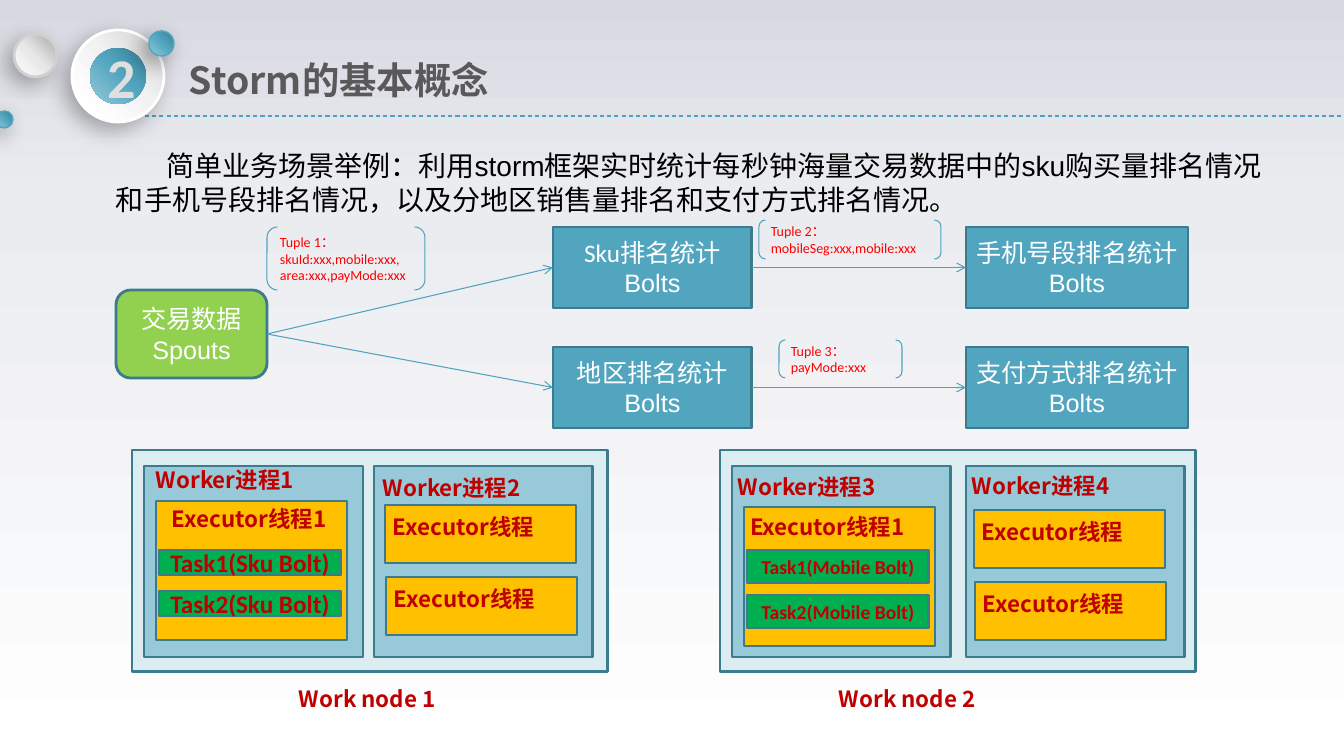
from pptx import Presentation
from pptx.dml.color import RGBColor
from pptx.enum.dml import MSO_LINE
from pptx.enum.shapes import MSO_CONNECTOR, MSO_SHAPE
from pptx.enum.text import MSO_ANCHOR, PP_ALIGN
from pptx.oxml import parse_xml
from pptx.oxml.ns import nsdecls, qn
from pptx.util import Emu, Pt

RECTANGLE = MSO_SHAPE.RECTANGLE
ROUNDED = MSO_SHAPE.ROUNDED_RECTANGLE
BRACKETS = MSO_SHAPE.DOUBLE_BRACKET
OVAL = MSO_SHAPE.OVAL
STRAIGHT = MSO_CONNECTOR.STRAIGHT
DASH = MSO_LINE.DASH
LEFT, CENTER = PP_ALIGN.LEFT, PP_ALIGN.CENTER
MIDDLE = MSO_ANCHOR.MIDDLE
LEFT_SITE, RIGHT_SITE = 1, 3

EMU_PER_PX = 914400 / 100.8
COLORS = {
    "title": "595959", "black": "000000", "white": "FFFFFF", "red": "FF0000",
    "label": "C00000", "edge": "3C7A8D", "link": "4DA3BD", "bolt": "51A5BF",
    "spout": "92D050", "node": "DCEDF2", "worker": "97C9D9",
    "executor": "FFC000", "task": "00B050", "silver": "D0D0D0",
}
BACKDROP = [(0, "D7D9E1"), (26, "EBECF0"), (100, "FFFFFF")]
RING = [(15, "FFFFFF"), (55, "F2F2F2"), (88, "D9D9D9")]
PEARL = [(0, "FFFFFF"), (50, "E7E7E7"), (100, "A6A6A6")]
TEAL = [(0, "97C9D9"), (55, "51A5BF"), (100, "377F95")]
DIGIT = [(15, "FFFFFF"), (63, "DFDFDF"), (100, "BFBFBF")]

CJK, CALIBRI, ARIAL = "Noto Sans CJK SC", "Calibri", "Arial"
FORMATS = {
    "title": ({"size": Pt(26.7), "bold": True}, "title"),
    "digit": ({"size": Pt(40), "bold": True}, "white"),
    "intro": ({"size": Pt(20)}, "black"),
    "tuple": ({"size": Pt(10)}, "red"),
    "step": ({"size": Pt(18)}, "white"),
    "label": ({"size": Pt(16), "bold": True}, "label"),
    "large task": ({"size": Pt(18), "bold": True}, "label"),
    "small task": ({"size": Pt(14), "bold": True}, "label"),
}


def px(length):
    return Emu(round(length * EMU_PER_PX))


def color(name):
    return RGBColor.from_string(COLORS[name])


def set_gradient(fill, owner, stops, angle=None):
    fill.gradient()
    gradient = next(owner.iter(qn("a:gradFill")))
    for child in list(gradient):
        gradient.remove(child)
    entries = "".join(
        f'<a:gs pos="{position * 1000}"><a:srgbClr val="{value}"/></a:gs>'
        for position, value in stops)
    gradient.append(parse_xml(f'<a:gsLst {nsdecls("a")}>{entries}</a:gsLst>'))
    if angle is None:
        direction = (f'<a:path {nsdecls("a")} path="circle">'
                     '<a:fillToRect t="100000" r="100000"/></a:path>')
    else:
        direction = f'<a:lin {nsdecls("a")} ang="{angle * 60000}" scaled="0"/>'
    gradient.append(parse_xml(direction))


def write_text(shape, paragraphs, style, align=LEFT, inset=True):
    frame = shape.text_frame
    settings = {"word_wrap": True, "vertical_anchor": MIDDLE}
    if not inset:
        settings.update(dict.fromkeys(
            ("margin_left", "margin_right", "margin_top", "margin_bottom"), 0))
    for name, value in settings.items():
        setattr(frame, name, value)
    values, color_name = FORMATS[style]
    for index, runs in enumerate(paragraphs):
        paragraph = frame.add_paragraph() if index else frame.paragraphs[0]
        paragraph.alignment = align
        for text, font_name in runs:
            run = paragraph.add_run()
            run.text = text
            for name, value in {**values, "name": font_name}.items():
                setattr(run.font, name, value)
            run.font.color.rgb = color(color_name)
            latin = run.font._element.find(qn("a:latin"))
            latin.addnext(parse_xml(
                f'<a:ea {nsdecls("a")} typeface="{font_name}"/>'))
    return frame


def add_box(slide, kind, box, fill=None, line=None, width=2):
    shape = slide.shapes.add_shape(kind, *map(px, box))
    shape.shadow.inherit = False
    if fill:
        shape.fill.solid()
        shape.fill.fore_color.rgb = color(fill)
    else:
        shape.fill.background()
    if line:
        shape.line.color.rgb = color(line)
        shape.line.width = Pt(width)
    else:
        shape.line.fill.background()
    return shape


def add_text(slide, box, text, style, font_name=CJK, align=LEFT, inset=False):
    text_box = slide.shapes.add_textbox(*map(px, box))
    return write_text(text_box, [[(text, font_name)]], style, align, inset)


def add_line(slide, start=(0, 0), end=(0, 0)):
    line = slide.shapes.add_connector(STRAIGHT, *map(px, (*start, *end)))
    line.line.color.rgb = color("link")
    line.line.width = Pt(0.75)
    line._element.spPr.append(parse_xml(f'<a:effectLst {nsdecls("a")}/>'))
    return line


def add_arrow(slide, source, target):
    arrow = add_line(slide)
    arrow.begin_connect(source, RIGHT_SITE)
    arrow.end_connect(target, LEFT_SITE)
    outline = next(arrow._element.iter(qn("a:ln")))
    outline.append(parse_xml(f'<a:tailEnd {nsdecls("a")} type="arrow"/>'))


def add_ball(slide, box, stops, angle=None, line=None, width=1, shadow=0):
    ball = add_box(slide, OVAL, box, None, line, width)
    set_gradient(ball.fill, ball._element.spPr, stops, angle)
    if shadow:
        effects = ball._element.spPr.find(qn("a:effectLst"))
        effects.append(parse_xml(
            f'<a:outerShdw {nsdecls("a")} blurRad="{Pt(16)}" dist="{Pt(7)}" '
            'dir="8100000" algn="tr" rotWithShape="0"><a:srgbClr val="000000">'
            f'<a:alpha val="{shadow * 1000}"/></a:srgbClr></a:outerShdw>'))


def add_header(slide, left, top):
    rule = add_line(slide, (left + 116, top + 116), (1344, top + 116))
    rule.line.dash_style = DASH
    add_ball(slide, (left + 72, top + 30, 92, 92), RING, 315, "white", 2, 30)
    add_ball(slide, (left + 14, top + 34, 43, 43), PEARL, 315, "silver", 2, 30)
    add_ball(slide, (left + 90, top + 48, 56, 56), TEAL)
    for x, y, size in ((-4, 111, 17), (149, 31, 25)):
        add_ball(slide, (left + x, top + y, size, size), TEAL,
                 line="bolt", shadow=40)
    add_text(slide, (left + 179, top + 60, 794, 40), "Storm的基本概念",
             "title", inset=True)
    digit = add_text(slide, (left + 98, top + 60, 41, 33), "2", "digit",
                     CALIBRI, CENTER, True)
    font = digit.paragraphs[0].runs[0].font
    set_gradient(font.fill, font._element, DIGIT, 315)
    font._element.insert(0, parse_xml(
        f'<a:ln {nsdecls("a")} w="{Pt(0.75)}"><a:solidFill>'
        f'<a:srgbClr val="{COLORS["bolt"]}"/></a:solidFill></a:ln>'))


def add_intro(slide, box):
    text = ("简单业务场景举例：利用storm框架实时统计每秒钟海量交易数据中的sku购买量排名情况"
            "和手机号段排名情况，以及分地区销售量排名和支付方式排名情况。")
    paragraph = add_text(slide, box, text, "intro", ARIAL).paragraphs[0]
    paragraph.line_spacing = Pt(24)
    paragraph._p.get_or_add_pPr().set("indent", str(px(50)))


def add_flow(slide, left, top):
    spout = add_box(slide, ROUNDED, (left, top + 63, 151, 88), "spout", "edge")
    write_text(spout, [[("交易数据", CALIBRI), ("Spouts", ARIAL)]], "step", CENTER)
    rows = [("Sku排名统计", "手机号段排名统计"), ("地区排名统计", "支付方式排名统计")]
    for row, names in enumerate(rows):
        source = spout
        for name, x, width in zip(names, (437, 850), (199, 222)):
            bolt = add_box(slide, RECTANGLE,
                           (left + x, top + row * 120, width, 81), "bolt", "edge")
            write_text(bolt, [[(name, CALIBRI)], [("Bolts", ARIAL)]], "step", CENTER)
            add_arrow(slide, source, bolt)
            source = bolt
    tuples = [
        ((151, 0, 158, 63), ["Tuple 1：", "skuId:xxx,mobile:xxx,", "area:xxx,payMode:xxx"]),
        ((643, -7, 182, 39), ["Tuple 2：", "mobileSeg:xxx,mobile:xxx"]),
        ((663, 113, 123, 38), ["Tuple 3：", "payMode:xxx"]),
    ]
    for (x, y, width, height), lines in tuples:
        bracket = add_box(slide, BRACKETS, (left + x, top + y, width, height),
                          line="link", width=0.75)
        write_text(bracket, [[(line, CALIBRI)] for line in lines], "tuple")


def add_executor(slide, left, top, height, text, label):
    add_box(slide, RECTANGLE, (left, top, 191, height), "executor", "edge")
    add_text(slide, (left + label[0], top + label[1], 169, 27), text, "label")


def add_busy_worker(slide, left, top, executor_y, label, task, style, first, height, step):
    left, top = left + 12, top + executor_y
    add_executor(slide, left, top, 139, "Executor线程1", label)
    for index in range(2):
        box = (left + 3, top + first + index * step, 182, height)
        shape = add_box(slide, RECTANGLE, box, "task", "edge")
        write_text(shape, [[(f"Task{index + 1}({task} Bolt)", CALIBRI)]], style, CENTER)


def add_idle_worker(slide, left, top, x, y):
    for index in range(2):
        add_executor(slide, left + x + index, top + y + index * 72, 58,
                     "Executor线程", (8, 8))


def add_node(slide, left, top, number, caption_x, workers):
    add_box(slide, RECTANGLE, (left, top, 476, 222), "node", "edge")
    add_text(slide, (left + caption_x, top + 235, 207, 27),
             f"Work node {number}", "label")
    for index, (x, title_x, title_y, fill_worker, details) in enumerate(workers):
        worker_left, worker_top = left + x, top + 16
        add_box(slide, RECTANGLE, (worker_left, worker_top, 219, 191), "worker", "edge")
        add_text(slide, (worker_left + title_x, worker_top + title_y, 207, 27),
                 f"Worker进程{number * 2 - 1 + index}", "label")
        fill_worker(slide, worker_left, worker_top, *details)


def main():
    presentation = Presentation()
    presentation.slide_width, presentation.slide_height = px(1344), px(756)
    slide = presentation.slides.add_slide(presentation.slide_layouts[6])
    set_gradient(slide.background.fill, slide._element, BACKDROP, 90)
    add_header(slide, 0, 0)
    add_intro(slide, (116, 148, 1159, 68))
    add_flow(slide, 116, 227)
    add_node(slide, 132, 450, 1, 167, [
        (12, 12, 0, add_busy_worker, (35, (16, 4), "Sku", "large task", 49, 25, 41)),
        (242, 9, 8, add_idle_worker, (11, 39))])
    add_node(slide, 720, 450, 2, 119, [
        (12, 6, 7, add_busy_worker, (41, (6, 6), "Mobile", "small task", 43, 33, 45)),
        (246, 6, 6, add_idle_worker, (8, 44))])
    presentation.save("out.pptx")


if __name__ == "__main__":
    main()
